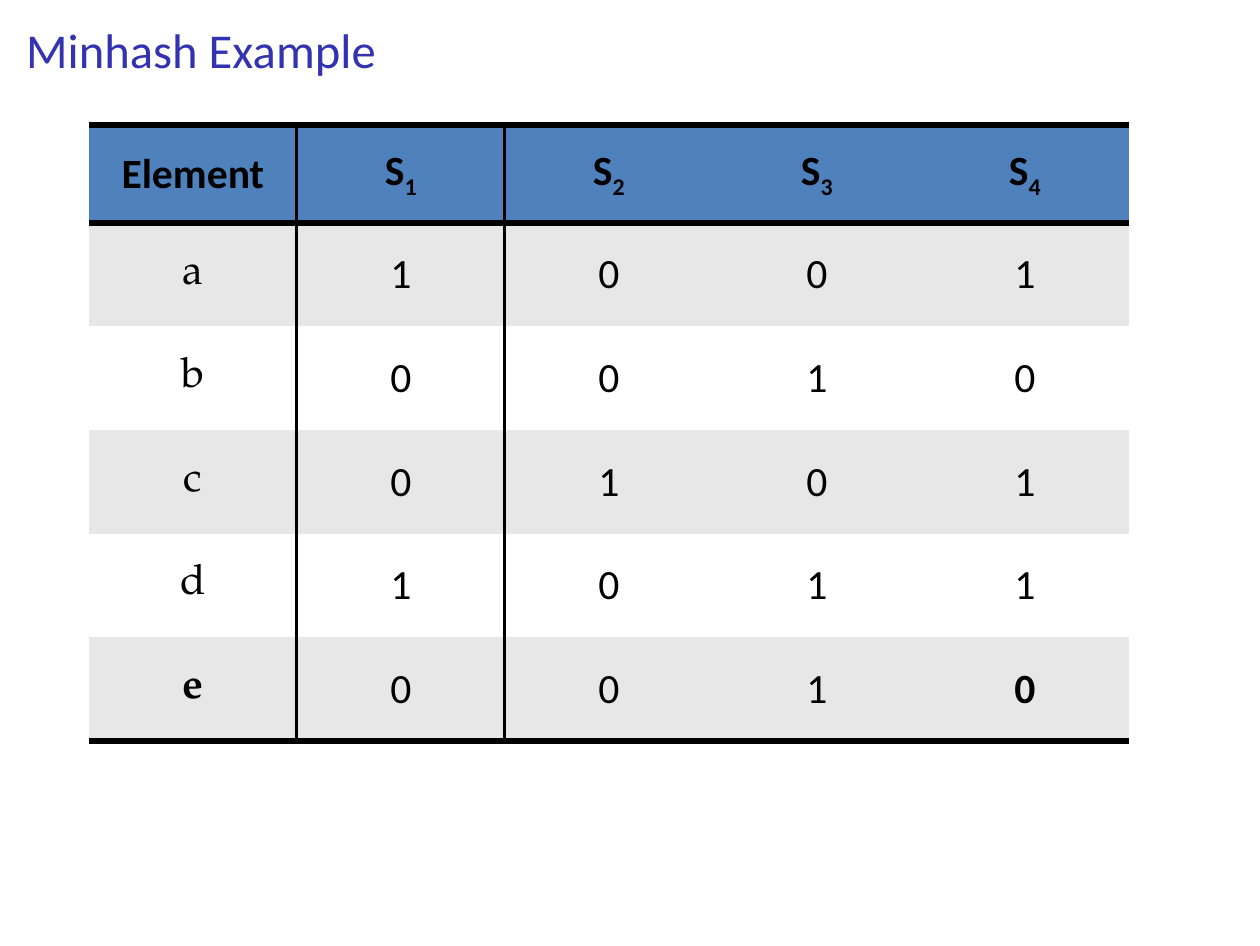
from pptx import Presentation
from pptx.dml.color import RGBColor
from pptx.enum.text import MSO_ANCHOR as ANCHOR, MSO_AUTO_SIZE as AUTO_SIZE, PP_ALIGN as ALIGN
from pptx.oxml import parse_xml
from pptx.oxml.ns import nsdecls, qn
from pptx.util import Pt

COLORS = {"title": "3333B2", "ink": "000000", "header": "4F81BD",
          "band": "E7E7E7", "plain": "FFFFFF"}
SANS, SERIF = "Calibri", "TeX Gyre Pagella"
NO_STYLE = "{2D5ABB26-0587-4C30-8999-92F81FD0307C}"


def add_text(para, text, font=SANS, size=12, color="ink", bold=False, subscript=False):
    span = para.add_run()
    span.text = text
    span.font.name = font
    span.font.size = Pt(size)
    span.font.bold = bold
    span.font.color.rgb = RGBColor.from_string(COLORS[color])
    if subscript:
        span.font._element.set("baseline", "-25000")


def add_border(cell, side, width):
    cell._tc.get_or_add_tcPr().append(parse_xml(
        f'<a:ln{side} {nsdecls("a")} w="{Pt(width)}"><a:solidFill>'
        f'<a:srgbClr val="{COLORS["ink"]}"/></a:solidFill></a:ln{side}>'))


deck = Presentation()
deck.slide_width, deck.slide_height = Pt(363), Pt(272.5)
page = deck.slides.add_slide(deck.slide_layouts[5])

# Title
title = page.shapes.title
title.left, title.top, title.width, title.height = Pt(7.5), Pt(5.7), Pt(281), Pt(17.1)
frame = title.text_frame
frame.margin_left = frame.margin_top = frame.margin_right = frame.margin_bottom = 0
frame.word_wrap = True
frame.auto_size = AUTO_SIZE.SHAPE_TO_FIT_TEXT
frame.vertical_anchor = ANCHOR.TOP
frame.paragraphs[0].alignment = ALIGN.LEFT
add_text(frame.paragraphs[0], "Minhash Example", size=14, color="title")

# Set membership: one row per element, one column per set
rows = [
    ["Element", "S1", "S2", "S3", "S4"],
    ["a", "1", "0", "0", "1"],
    ["b", "0", "0", "1", "0"],
    ["c", "0", "1", "0", "1"],
    ["d", "1", "0", "1", "1"],
    ["e", "0", "0", "1", "0"],
]
last_row, last_column = len(rows) - 1, len(rows[0]) - 1
holder = page.shapes.add_table(len(rows), len(rows[0]), Pt(25.6), Pt(36), Pt(299.75), Pt(177.5))
table = holder.table
table.first_row = True
table.horz_banding = False
table._tbl.tblPr.find(qn("a:tableStyleId")).text = NO_STYLE
for column in table.columns:
    column.width = Pt(59.95)

for row_index, values in enumerate(rows):
    is_header = row_index == 0
    table.rows[row_index].height = Pt(28.2 if is_header else 29.85)
    for column_index, value in enumerate(values):
        cell = table.cell(row_index, column_index)

        # Thin rules beside S1, thick rules around the header and at the foot
        if column_index == 1:
            add_border(cell, "L", 1)
        if column_index == 0:
            add_border(cell, "R", 1)
        if is_header:
            add_border(cell, "T", 2)
        if row_index in (0, last_row):
            add_border(cell, "B", 2)

        fill = "header" if is_header else "band" if row_index % 2 else "plain"
        cell.fill.solid()
        cell.fill.fore_color.rgb = RGBColor.from_string(COLORS[fill])

        cell.vertical_anchor = ANCHOR.MIDDLE
        para = cell.text_frame.paragraphs[0]
        para.alignment = ALIGN.CENTER
        if is_header and column_index > 0:
            add_text(para, value[0], bold=True)
            add_text(para, value[1], bold=True, subscript=True)
        else:
            is_bold = is_header or (row_index == last_row and column_index in (0, last_column))
            font = SERIF if column_index == 0 and not is_header else SANS
            add_text(para, value, font=font, bold=is_bold)

deck.save("out.pptx")
